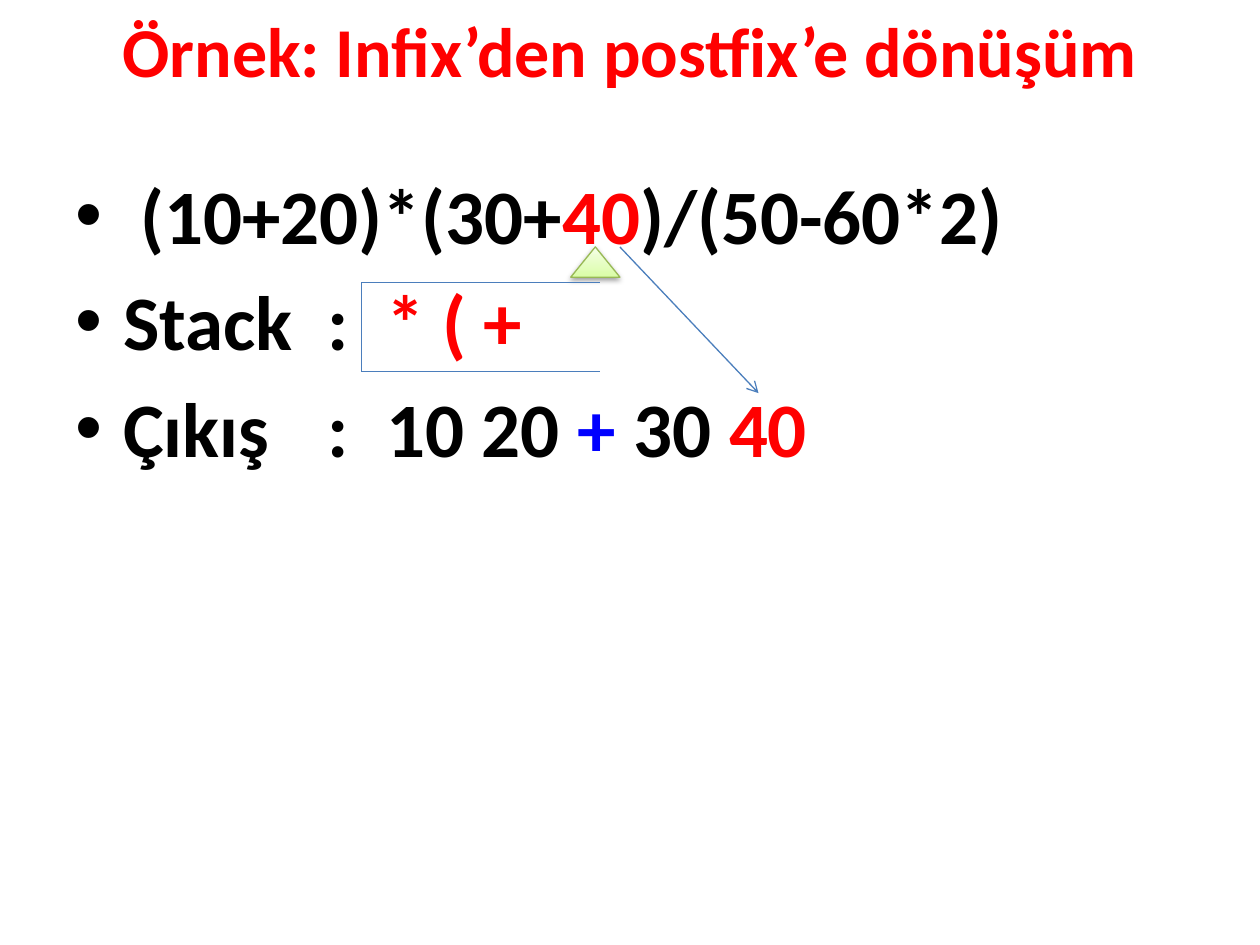
from pptx import Presentation
from pptx.dml.color import RGBColor
from pptx.enum.shapes import MSO_CONNECTOR, MSO_SHAPE
from pptx.enum.text import MSO_ANCHOR, PP_ALIGN
from pptx.oxml import parse_xml
from pptx.oxml.ns import nsdecls
from pptx.util import Inches, Pt

COLORS = {"black": "000000", "red": "FF0000", "blue": "0000FF", "line": "4B7EBC",
          "marker_line": "98B955", "marker_bottom": "DAFDA7", "marker_top": "F5FFE7"}
FONT = "Calibri"
TITLE = "Örnek: Infix’den postfix’e dönüşüm"
STEPS = [
    [(" (10+20)*(30+", "black"), ("40", "red"), (")/(50-60*2)", "black")],
    [("Stack\t:\t", "black"), ("* ( +", "red")],
    [("Çıkış\t:\t10 20 ", "black"), ("+ ", "blue"), ("30 ", "black"), ("40", "red")],
]
WIDTH, HEIGHT = 10, 7.5
INDENT = 0.38
TAB_STOPS = (2, 2.47)
LEFT, TOP, RIGHT, BOTTOM = 2.87, 2.24, 4.76, 2.95
STACK_SIDES = [(LEFT, TOP, RIGHT, TOP), (LEFT, BOTTOM, RIGHT, BOTTOM), (LEFT, TOP, LEFT, BOTTOM)]
MARKER = (4.53, 1.96, 0.39, 0.24)
OUTPUT_ARROW = (4.92, 1.96, 6.02, 3.12)


def rgb(name):
    return RGBColor.from_string(COLORS[name])


def element(xml):
    tag, rest = xml[:-2].split(" ", 1) if " " in xml else (xml[:-2], "")
    return parse_xml(f"{tag} {nsdecls('a')} {rest}/>")


def style(span, size, color):
    span.font.name, span.font.size, span.font.bold = FONT, Pt(size), True
    span.font.color.rgb = rgb(color)


def add_bullet(para):
    props = para._p.get_or_add_pPr()
    props.set("marL", str(Inches(INDENT)))
    props.set("indent", str(-Inches(INDENT)))
    props.append(element('<a:buFont typeface="Arial"/>'))
    props.append(element('<a:buChar char="•"/>'))
    tabs = element("<a:tabLst/>")
    for stop in TAB_STOPS:
        tabs.append(element(f'<a:tab pos="{Inches(stop)}" algn="l"/>'))
    props.append(tabs)


def add_line(page, ends, arrow=False):
    line = page.shapes.add_connector(MSO_CONNECTOR.STRAIGHT, *map(Inches, ends))
    line.line.color.rgb = rgb("line")
    line.line.width = Pt(0.75)
    if arrow:
        line.line._get_or_add_ln().append(element('<a:tailEnd type="arrow"/>'))
    line._element.spPr.append(element("<a:effectLst/>"))


def add_title(page):
    title = page.shapes.title
    title.left, title.top, title.width, title.height = map(Inches, (0, -0.03, WIDTH, 0.85))
    title.text_frame.text = TITLE
    title.text_frame.vertical_anchor = MSO_ANCHOR.MIDDLE
    para = title.text_frame.paragraphs[0]
    para.alignment = PP_ALIGN.CENTER
    style(para.runs[0], 40, "red")


def add_steps(page):
    frame = page.shapes.add_textbox(*map(Inches, (0.5, 1.23, 9, 5.47))).text_frame
    frame.word_wrap = True
    frame.margin_top = Inches(0.1)
    for index, parts in enumerate(STEPS):
        para = frame.add_paragraph() if index else frame.paragraphs[0]
        add_bullet(para)
        if index:
            para.space_before = Pt(8)
        for text, color in parts:
            span = para.add_run()
            span.text = text
            style(span, 44, color)


def add_marker(page):
    marker = page.shapes.add_shape(MSO_SHAPE.ISOSCELES_TRIANGLE, *map(Inches, MARKER))
    marker.fill.gradient()
    marker.fill.gradient_angle = 90
    for stop, name in zip(marker.fill.gradient_stops, ("marker_bottom", "marker_top")):
        stop.color.rgb = rgb(name)
    marker.fill.gradient_stops[0].position = 0
    marker.fill.gradient_stops[1].position = 1
    marker.line.color.rgb = rgb("marker_line")
    marker.line.width = Pt(0.75)
    marker.shadow.inherit = False
    shadow = element(f'<a:outerShdw blurRad="{Pt(3.1)}" dist="{Pt(1.6)}" dir="5400000" rotWithShape="0"/>')
    shade = element(f'<a:srgbClr val="{COLORS["black"]}"/>')
    shade.append(element('<a:alpha val="38000"/>'))
    shadow.append(shade)
    marker._element.spPr.find("{*}effectLst").append(shadow)


def main():
    deck = Presentation()
    deck.slide_width, deck.slide_height = Inches(WIDTH), Inches(HEIGHT)
    page = deck.slides.add_slide(deck.slide_layouts[5])
    add_title(page)
    add_steps(page)
    add_marker(page)
    add_line(page, OUTPUT_ARROW, arrow=True)
    for side in STACK_SIDES:
        add_line(page, side)
    deck.save("out.pptx")


if __name__ == "__main__":
    main()
